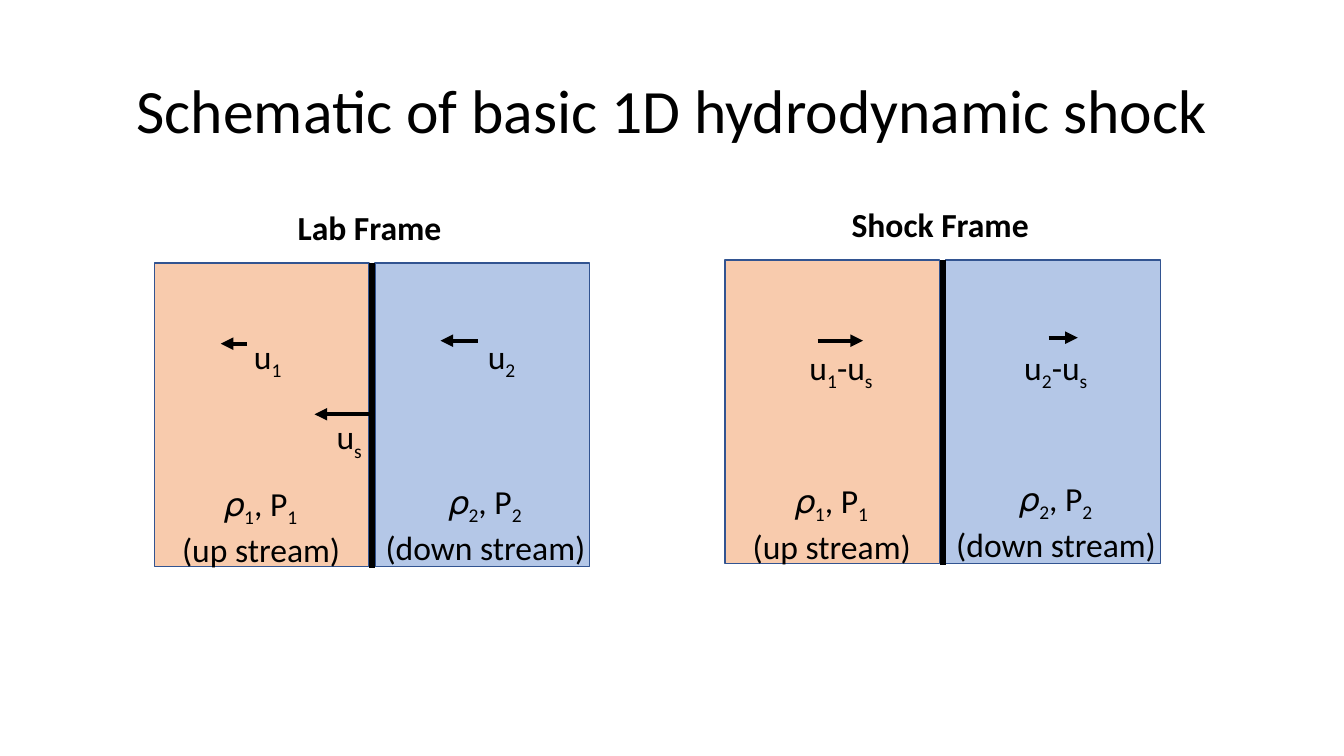
import pptx
import pptx.dml.color
import pptx.enum.shapes
import pptx.enum.text
import pptx.oxml.ns
import pptx.util
from lxml import etree

RGBColor = pptx.dml.color.RGBColor
PP_ALIGN = pptx.enum.text.PP_ALIGN

PX = 9144  # 100 px to the inch
BLACK = RGBColor(0x00, 0x00, 0x00)
UPSTREAM = RGBColor(0xF8, 0xCB, 0xAD)
DOWNSTREAM = RGBColor(0xB4, 0xC7, 0xE7)
OUTLINE = RGBColor(0x32, 0x54, 0x91)
FONT = "Calibri"

FRAME_WIDTH = 432
HALF_WIDTH, HALF_HEIGHT = 213, 301
FRONT_X = FRAME_WIDTH // 2

# Positions are relative to the top left of each frame.
# Arrows: from x, to x, y. Labels: text, left, top, width.
LAB_ARROWS = [(FRONT_X, 159, 150), (92, 66, 80), (321, 284, 77)]
LAB_LABELS = [("u_1", 89, 67, 52), ("u_2", 321, 67, 54), ("u_s", 171, 147, 46)]
SHOCK_ARROWS = [(92, 137, 80), (321, 350, 77)]
SHOCK_LABELS = [("u_1-u_s", 74, 81, 101), ("u_2-u_s", 287, 81, 101)]


def fill_paragraph(paragraph, text):
    """Write text, setting the character after each underscore as a subscript."""
    first, *others = text.split("_")
    paragraph.add_run().text = first
    for part in others:
        subscript = paragraph.add_run()
        subscript.text = part[0]
        subscript.font._element.set("baseline", "-25000")
        if part[1:]:
            paragraph.add_run().text = part[1:]


def add_text(slide, lines, left, top, width, height, size=24, bold=False,
             align=PP_ALIGN.CENTER):
    box = slide.shapes.add_textbox(left * PX, top * PX, width * PX, height * PX)
    frame = box.text_frame
    frame.word_wrap = True
    frame.margin_left = 10 * PX if align == PP_ALIGN.LEFT else 0
    frame.margin_right = 0
    for index, line in enumerate(lines):
        paragraph = frame.add_paragraph() if index else frame.paragraphs[0]
        paragraph.alignment = align
        paragraph.font.name = FONT
        paragraph.font.size = pptx.util.Pt(size)
        paragraph.font.bold = bold
        paragraph.font.color.rgb = BLACK
        fill_paragraph(paragraph, line)
    return box


def add_line(slide, x1, y1, x2, y2, weight, arrow=False):
    connector = slide.shapes.add_connector(
        pptx.enum.shapes.MSO_CONNECTOR.STRAIGHT, x1 * PX, y1 * PX, x2 * PX, y2 * PX)
    connector.line.color.rgb = BLACK
    connector.line.width = pptx.util.Pt(weight)
    if arrow:
        etree.SubElement(connector.line._get_or_add_ln(),
                         pptx.oxml.ns.qn("a:tailEnd"), type="triangle")
    etree.SubElement(connector._element.spPr, pptx.oxml.ns.qn("a:effectLst"))


def add_half(slide, left, top, color):
    half = slide.shapes.add_shape(
        pptx.enum.shapes.MSO_SHAPE.RECTANGLE,
        left * PX, top * PX, HALF_WIDTH * PX, HALF_HEIGHT * PX)
    half.shadow.inherit = False
    half.fill.solid()
    half.fill.fore_color.rgb = color
    half.line.color.rgb = OUTLINE
    half.line.width = pptx.util.Pt(1)


def add_shock_diagram(slide, left, top, heading, arrows, labels):
    add_half(slide, left + FRAME_WIDTH - HALF_WIDTH, top, DOWNSTREAM)
    add_half(slide, left, top, UPSTREAM)
    add_line(slide, left + FRONT_X, top, left + FRONT_X, top + HALF_HEIGHT + 2, 4.5)
    add_text(slide, [heading], left + 99, top - 61, 229, 50, bold=True)
    add_text(slide, ["𝜌_1, P_1", "(up stream)"], left + 17, top + 213, 178, 91)
    add_text(slide, ["𝜌_2, P_2", "(down stream)"], left + 214, top + 211, 229, 91)
    for start, end, y in arrows:
        add_line(slide, left + start, top + y, left + end, top + y, 3, arrow=True)
    for text, x, y, width in labels:
        add_text(slide, [text], left + x, top + y, width, 50, align=PP_ALIGN.LEFT)


def add_title(slide, left, top, width, height):
    title = add_text(slide, ["Schematic of basic 1D hydrodynamic shock"],
                     left, top, width, height, size=44)
    title.text_frame.vertical_anchor = pptx.enum.text.MSO_ANCHOR.MIDDLE
    title.text_frame.paragraphs[0].line_spacing = 0.9


def main():
    presentation = pptx.Presentation()
    presentation.slide_width = 1333 * PX
    presentation.slide_height = 750 * PX
    slide = presentation.slides.add_slide(presentation.slide_layouts[6])
    add_title(slide, 92, 40, 1150, 145)
    add_shock_diagram(slide, 153, 261, "Lab Frame", LAB_ARROWS, LAB_LABELS)
    add_shock_diagram(slide, 719, 258, "Shock Frame", SHOCK_ARROWS, SHOCK_LABELS)
    presentation.save("out.pptx")


if __name__ == "__main__":
    main()
